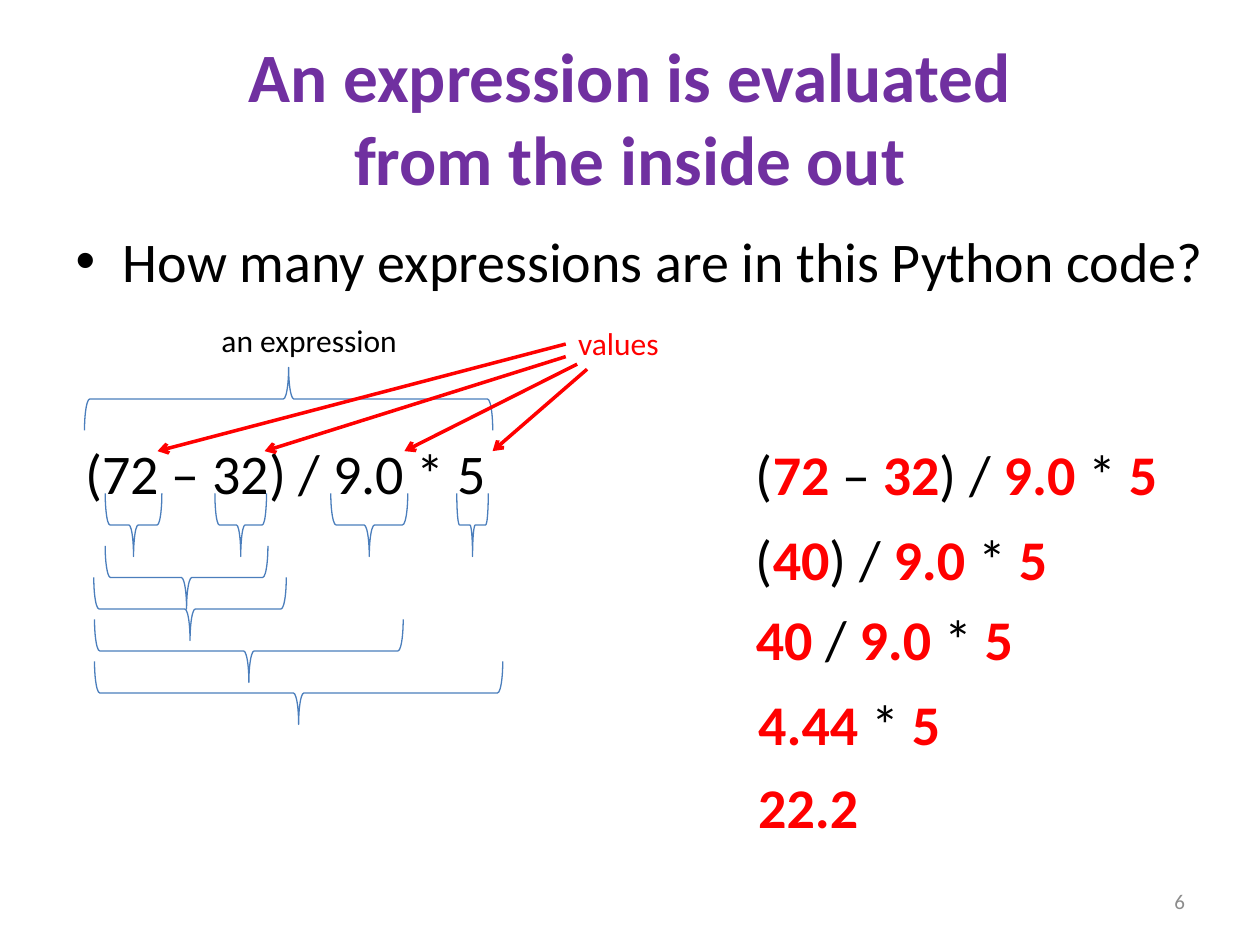
"""Build a slide showing how a Python expression is evaluated from the inside out."""
import copy
import itertools

import pptx
import pptx.dml.color
import pptx.enum.shapes
import pptx.enum.text
import pptx.oxml
import pptx.oxml.ns
import pptx.util

Pt = pptx.util.Pt
ALIGN = pptx.enum.text.PP_ALIGN
ANCHOR = pptx.enum.text.MSO_ANCHOR
AUTO_SIZE = pptx.enum.text.MSO_AUTO_SIZE

COLORS = {"title": "7030A0", "text": "000000", "value": "FF0000",
          "brace": "4B7EBC", "number": "8C8C8C"}

TITLE = "An expression is evaluated\vfrom the inside out"
QUESTION = "How many expressions are in this Python code?"
CODE = "(72 – 32) / 9.0 * 5"
STEPS = [
    (CODE, 424.8, 247.7, 246),
    ("(40) / 9.0 * 5", 424.8, 296, 182),
    ("40 / 9.0 * 5", 424.8, 342, 163),
    ("4.44 * 5", 426.2, 390.2, 120),
    ("22.2", 426.2, 437.8, 72),
]

BRACE_DEPTH = 36
WHOLE_BRACE = (48.3, 210, 233.3)
PART_BRACES = [
    (60.1, 282, 32.4), (122.8, 282, 29.5), (189, 282, 44), (261, 282, 18),
    (60.1, 312, 93), (53.6, 330, 110), (54, 354, 176.4), (54, 378, 233.3),
]
ARROW_TIP_Y = 257.8
ARROWS = [(323.3, 196.6, 151.2), (323.3, 203.8, 90),
          (329.8, 208.1, 231.1), (335.5, 211, 281.5)]
ARROWS[0], ARROWS[1] = (323.3, 196.6, 90), (323.3, 203.8, 151.2)

TITLE_FORMAT = {"size": Pt(39.6), "bold": True}
BODY_FORMAT = {"size": Pt(32), "bold": False}
VALUE_FORMAT = {"size": Pt(32), "bold": True}
LABEL_FORMAT = {"size": Pt(18), "bold": False}
NUMBER_FORMAT = {"size": Pt(12), "bold": False}


def rgb(name):
    return pptx.dml.color.RGBColor.from_string(COLORS[name])


def set_attributes(target, values):
    for name, value in values.items():
        setattr(target, name, value)


def place(shape, left, top, width, height):
    set_attributes(shape, {"left": Pt(left), "top": Pt(top),
                           "width": Pt(width), "height": Pt(height)})


def format_run(run, values, color):
    set_attributes(run.font, {"name": "Calibri", **values})
    run.font.color.rgb = rgb(color)


def fill_text(shape, text, values, color):
    paragraph = shape.text_frame.paragraphs[0]
    paragraph.text = text
    paragraph.space_before = Pt(0)
    for run in paragraph.runs:
        format_run(run, values, color)
    return paragraph


def add_box(slide, left, top, width, height, wrap=False):
    box = slide.shapes.add_textbox(Pt(left), Pt(top), Pt(width), Pt(height))
    set_attributes(box.text_frame, {"word_wrap": wrap, "auto_size": AUTO_SIZE.SHAPE_TO_FIT_TEXT})
    return box


def add_step(slide, text, left, top, width):
    paragraph = add_box(slide, left, top, width, 46).text_frame.paragraphs[0]
    for is_value, letters in itertools.groupby(text, lambda letter: letter in "0123456789."):
        run = paragraph.add_run()
        run.text = "".join(letters)
        format_run(run, VALUE_FORMAT if is_value else BODY_FORMAT,
                   "value" if is_value else "text")


def add_brace(slide, left, top, width, rotation):
    shape = slide.shapes.add_shape(
        pptx.enum.shapes.MSO_SHAPE.RIGHT_BRACE,
        Pt(left + (width - BRACE_DEPTH) / 2), Pt(top + (BRACE_DEPTH - width) / 2),
        Pt(BRACE_DEPTH), Pt(width))
    shape.rotation = rotation
    shape.shadow.inherit = False
    shape.fill.background()
    shape.line.color.rgb = rgb("brace")
    shape.line.width = Pt(0.75)


def add_arrow(slide, start_x, start_y, tip_x):
    arrow = slide.shapes.add_connector(
        pptx.enum.shapes.MSO_CONNECTOR.STRAIGHT,
        Pt(start_x), Pt(start_y), Pt(tip_x), Pt(ARROW_TIP_Y))
    arrow.line.color.rgb = rgb("value")
    arrow.line.width = Pt(2)
    namespace = pptx.oxml.ns.nsdecls("a")
    arrow.line._get_or_add_ln().append(
        pptx.oxml.parse_xml(f'<a:tailEnd {namespace} type="arrow"/>'))
    arrow._element.spPr.append(pptx.oxml.parse_xml(f"<a:effectLst {namespace}/>"))


def main():
    presentation = pptx.Presentation()
    set_attributes(presentation, {"slide_width": Pt(720), "slide_height": Pt(540)})
    slide = presentation.slides.add_slide(presentation.slide_layouts[1])

    title, body = slide.placeholders
    place(title, 36, 21.6, 648, 90)
    paragraph = fill_text(title, TITLE, TITLE_FORMAT, "title")
    for line_break in paragraph._p.findall(pptx.oxml.ns.qn("a:br")):
        line_break.append(copy.deepcopy(paragraph.runs[0]._r.rPr))
    place(body, 36, 126, 666, 356.4)
    fill_text(body, QUESTION, BODY_FORMAT, "text")

    add_brace(slide, *WHOLE_BRACE, rotation=270)
    fill_text(add_box(slide, 41.8, 247, 264, 46, wrap=True), CODE, BODY_FORMAT, "text")
    fill_text(add_box(slide, 119.5, 180, 116, 29), "an expression", LABEL_FORMAT, "text")
    for brace in PART_BRACES:
        add_brace(slide, *brace, rotation=90)
    fill_text(add_box(slide, 323.3, 181.4, 61, 29), "values", LABEL_FORMAT, "value")
    for arrow in ARROWS:
        add_arrow(slide, *arrow)
    for step in STEPS:
        add_step(slide, *step)

    number = add_box(slide, 516.2, 500.4, 168, 28.8, wrap=True)
    set_attributes(number.text_frame, {"auto_size": AUTO_SIZE.NONE,
                                       "vertical_anchor": ANCHOR.MIDDLE})
    fill_text(number, "6", NUMBER_FORMAT, "number").alignment = ALIGN.RIGHT

    presentation.save("out.pptx")


if __name__ == "__main__":
    main()
